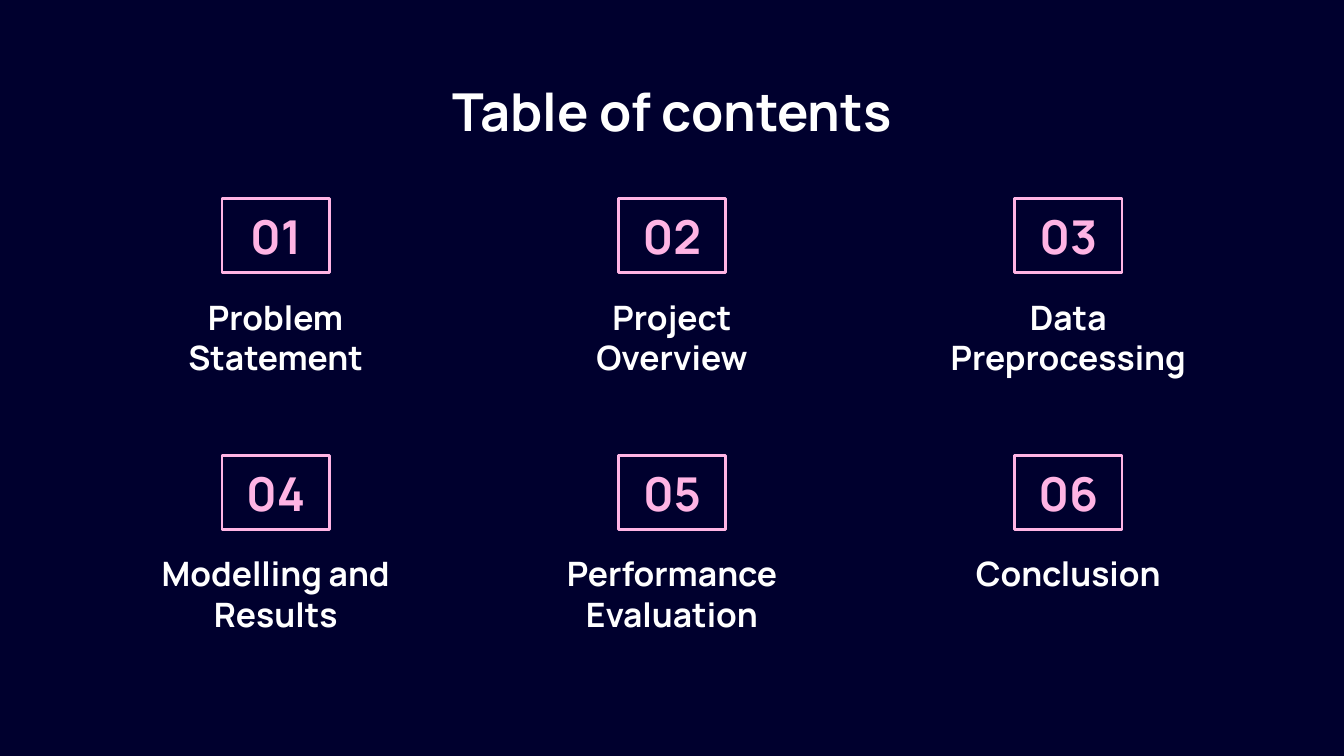
from dataclasses import dataclass

from pptx import Presentation
from pptx import util as u
from pptx.dml import color
from pptx.enum import shapes, text


@dataclass(frozen=True)
class Theme:
    font: str = "Manrope"
    background: str = "00002E"
    white: str = "FFFFFF"
    pink: str = "FFB4E4"
    title_size: int = 28
    number_size: int = 25
    label_size: int = 18


theme = Theme()


def rgb(value):
    return color.RGBColor.from_string(value)


def write(s, lines, size, ink, anchor):
    """Fill a shape with centred bold paragraphs."""
    tf = s.text_frame
    frame_format = {"word_wrap": True, "vertical_anchor": anchor}
    for side in ("left", "right", "top", "bottom"):
        frame_format[f"margin_{side}"] = u.Cm(0.25)
    for name, value in frame_format.items():
        setattr(tf, name, value)
    for i, line in enumerate(lines):
        p = tf.paragraphs[0] if i == 0 else tf.add_paragraph()
        p.alignment = text.PP_ALIGN.CENTER
        r = p.add_run()
        r.text = line
        font_format = {"name": theme.font, "size": u.Pt(size), "bold": True}
        for name, value in font_format.items():
            setattr(r.font, name, value)
        r.font.color.rgb = rgb(ink)


# Slide
prs = Presentation()
prs.slide_width, prs.slide_height = u.Cm(25.4), u.Cm(14.29)
slide = prs.slides.add_slide(prs.slide_layouts[6])
slide.background.fill.solid()
slide.background.fill.fore_color.rgb = rgb(theme.background)

# Title
sp = slide.shapes.add_textbox(u.Cm(2), u.Cm(1.25), u.Cm(21.4), u.Cm(1.6))
write(sp, ["Table of contents"], theme.title_size, theme.white,
      text.MSO_ANCHOR.TOP)

# Contents grid: three columns, two rows
sections = [
    ["Problem", "Statement"],
    ["Project", "Overview"],
    ["Data Preprocessing"],
    ["Modelling and Results"],
    ["Performance Evaluation"],
    ["Conclusion"],
]
columns = 3
column_step, row_step = 7.49, 4.85
label_width, box_width = 6.4, 2.03

for i, lines in enumerate(sections):
    row, column = divmod(i, columns)
    center = 12.7 + (column - 1) * column_step
    top = 3.76 + row * row_step

    # Number box
    sp = slide.shapes.add_shape(
        shapes.MSO_SHAPE.RECTANGLE, u.Cm(center - box_width / 2), u.Cm(top),
        u.Cm(box_width), u.Cm(1.4))
    sp.shadow.inherit = False
    sp.fill.background()
    sp.line.color.rgb = rgb(theme.pink)
    sp.line.width = u.Pt(1.5)
    write(sp, [f"{i + 1:02d}"], theme.number_size, theme.pink,
          text.MSO_ANCHOR.MIDDLE)

    # Section name
    sp = slide.shapes.add_textbox(
        u.Cm(center - label_width / 2), u.Cm(top + 1.6),
        u.Cm(label_width), u.Cm(2.03))
    write(sp, lines, theme.label_size, theme.white, text.MSO_ANCHOR.TOP)

prs.save("out.pptx")
